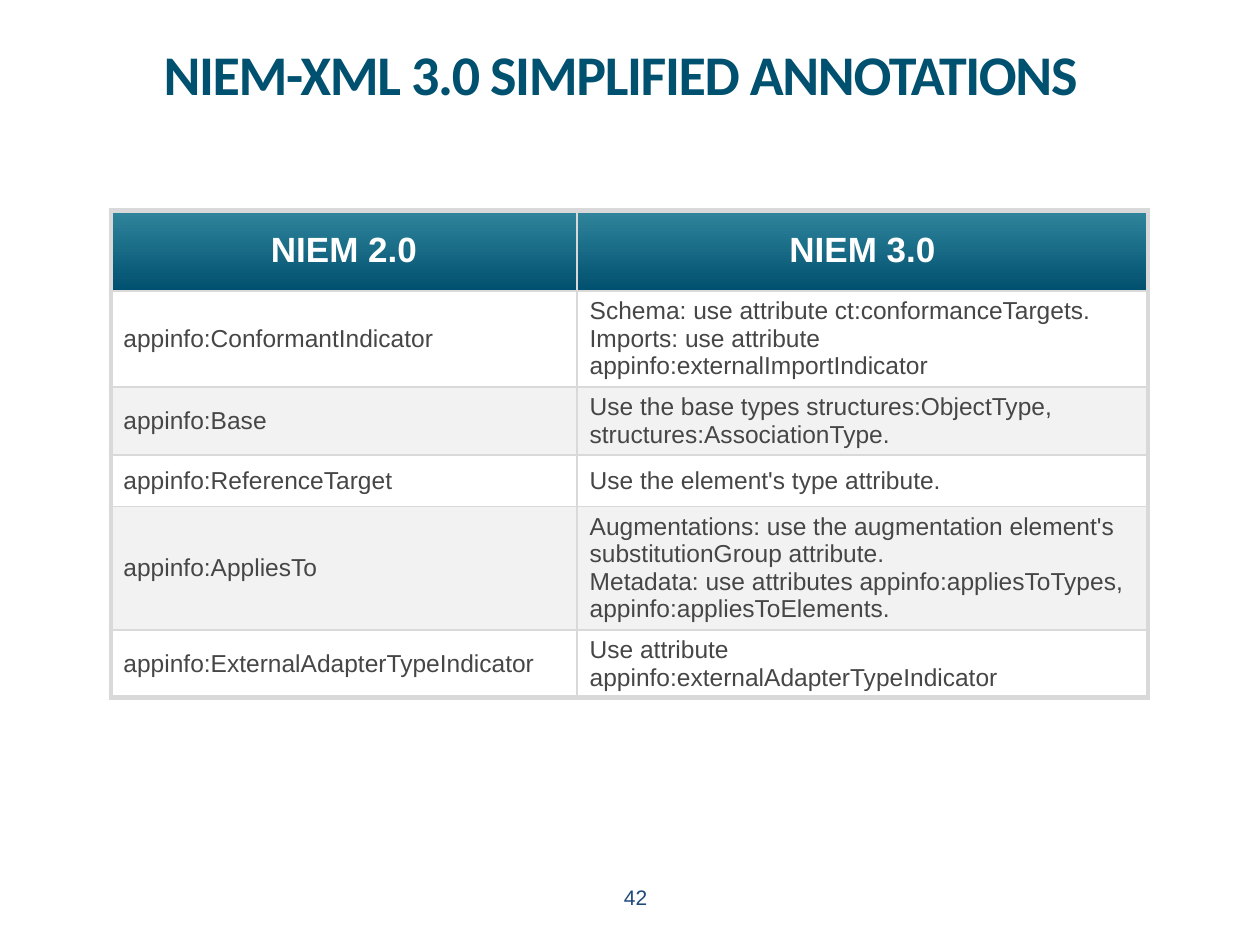
from lxml.etree import SubElement
from pptx import Presentation
from pptx.dml.color import RGBColor
from pptx.enum.text import MSO_ANCHOR as Anchor, PP_ALIGN as Align
from pptx.oxml.ns import qn
from pptx.util import Inches, Pt

NAVY = RGBColor(0x00, 0x50, 0x6F)
TEAL = RGBColor(0x31, 0x85, 0x9C)
BLUE = RGBColor(0x1F, 0x49, 0x7D)
GREY = RGBColor(0x46, 0x46, 0x46)
BORDER = RGBColor(0xD9, 0xD9, 0xD9)
BAND = RGBColor(0xF2, 0xF2, 0xF2)
WHITE = RGBColor(0xFF, 0xFF, 0xFF)

TITLE_FONT = dict(name="Calibri", size=Pt(32), bold=True, color=NAVY)
HEADER_FONT = dict(name="Arial", size=Pt(20), bold=True, color=WHITE)
BODY_FONT = dict(name="Arial", size=Pt(14), bold=False, color=GREY)
NUMBER_FONT = dict(name="Arial", size=Pt(12), bold=False, color=BLUE)

COLUMN_WIDTHS = (3.7, 4.53)
ROW_HEIGHTS = (0.64, 0.76, 0.54, 0.41, 0.98, 0.52)
OUTER_LINE, INNER_LINE = Pt(3), Pt(1)

# Each line break within an entry starts a new paragraph
ANNOTATIONS = (
    ("NIEM 2.0", "NIEM 3.0"),
    ("appinfo:ConformantIndicator",
     "Schema: use attribute ct:conformanceTargets.\n"
     "Imports: use attribute appinfo:externalImportIndicator"),
    ("appinfo:Base",
     "Use the base types structures:ObjectType, structures:AssociationType."),
    ("appinfo:ReferenceTarget", "Use the element's type attribute."),
    ("appinfo:AppliesTo",
     "Augmentations: use the augmentation element's substitutionGroup attribute.\n"
     "Metadata: use attributes appinfo:appliesToTypes, appinfo:appliesToElements."),
    ("appinfo:ExternalAdapterTypeIndicator",
     "Use attribute appinfo:externalAdapterTypeIndicator"),
)


def write_text(frame, text, font_values, align):
    frame.text = text
    frame.word_wrap = True
    for paragraph in frame.paragraphs:
        paragraph.alignment = align
        for run in paragraph.runs:
            for key, value in font_values.items():
                if key == "color":
                    run.font.color.rgb = value
                else:
                    setattr(run.font, key, value)


def add_title(slide, text):
    title = slide.shapes.title
    title.left, title.top = Inches(0.5), Inches(0.42)
    title.width, title.height = Inches(8.85), Inches(0.89)
    frame = title.text_frame
    write_text(frame, text, TITLE_FONT, Align.CENTER)
    frame.vertical_anchor = Anchor.TOP
    for side in ("left", "top", "right", "bottom"):
        setattr(frame, f"margin_{side}", 0)
    heading = frame.paragraphs[0]
    heading.line_spacing = 0.8
    # Tighten the letter spacing by 0.8 pt
    heading.runs[0].font._element.set("spc", "-80")


def set_borders(cell, widths):
    # Border lines come before the fill, in the order left, right, top, bottom
    properties = cell._tc.get_or_add_tcPr()
    for position, (side, width) in enumerate(widths.items()):
        line = SubElement(properties, qn(f"a:ln{side}"), w=str(int(width)))
        color = SubElement(SubElement(line, qn("a:solidFill")), qn("a:srgbClr"))
        color.set("val", str(BORDER))
        properties.insert(position, line)


def fill_header(fill):
    fill.gradient()
    fill.gradient_angle = 90
    for stop, color in zip(fill.gradient_stops, (NAVY, TEAL)):
        stop.color.rgb = color


def fill_body(fill, row):
    fill.solid()
    fill.fore_color.rgb = WHITE if row % 2 else BAND


def add_annotation_table(slide):
    last_row, last_column = len(ROW_HEIGHTS) - 1, len(COLUMN_WIDTHS) - 1
    table = slide.shapes.add_table(
        len(ROW_HEIGHTS), len(COLUMN_WIDTHS), Inches(0.88), Inches(1.67),
        Inches(sum(COLUMN_WIDTHS)), Inches(sum(ROW_HEIGHTS))).table
    table.first_row = table.horz_banding = False
    for column, width in zip(table.columns, COLUMN_WIDTHS):
        column.width = Inches(width)
    for table_row, height in zip(table.rows, ROW_HEIGHTS):
        table_row.height = Inches(height)

    for row, entries in enumerate(ANNOTATIONS):
        for column, entry in enumerate(entries):
            cell = table.cell(row, column)
            cell.vertical_anchor = Anchor.MIDDLE
            if row == 0:
                write_text(cell.text_frame, entry, HEADER_FONT, Align.CENTER)
                fill_header(cell.fill)
            else:
                write_text(cell.text_frame, entry, BODY_FONT, Align.LEFT)
                fill_body(cell.fill, row)
            on_edge = {"L": column == 0, "R": column == last_column,
                       "T": row == 0, "B": row == last_row}
            set_borders(cell, {side: OUTER_LINE if outer else INNER_LINE
                               for side, outer in on_edge.items()})


def add_page_number(slide, number):
    box = slide.shapes.add_textbox(
        Inches(3.88), Inches(6.97), Inches(2.33), Inches(0.4))
    write_text(box.text_frame, number, NUMBER_FONT, Align.CENTER)


def main():
    deck = Presentation()
    deck.slide_width, deck.slide_height = Inches(10), Inches(7.5)
    slide = deck.slides.add_slide(deck.slide_layouts.get_by_name("Title Only"))
    add_title(slide, "NIEM-XML 3.0 SIMPLIFIED ANNOTATIONS")
    add_annotation_table(slide)
    add_page_number(slide, "42")
    deck.save("out.pptx")


if __name__ == "__main__":
    main()
